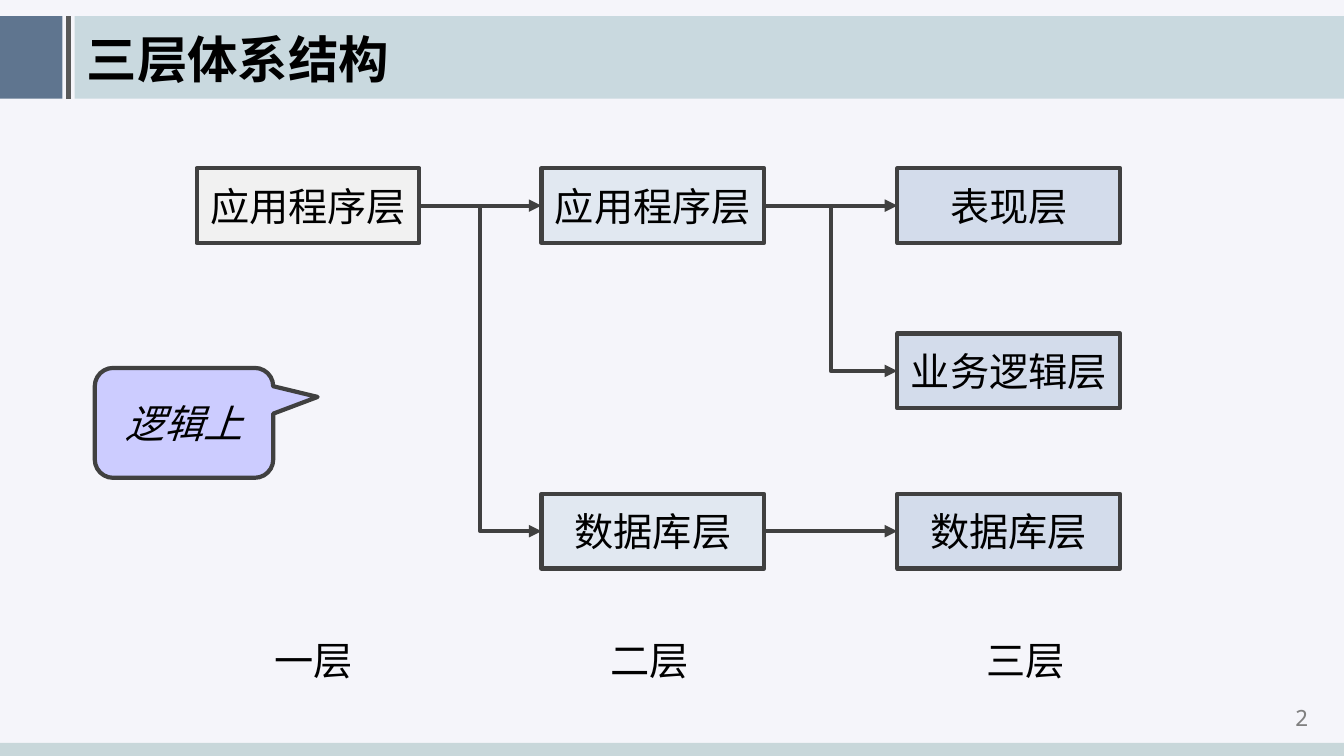
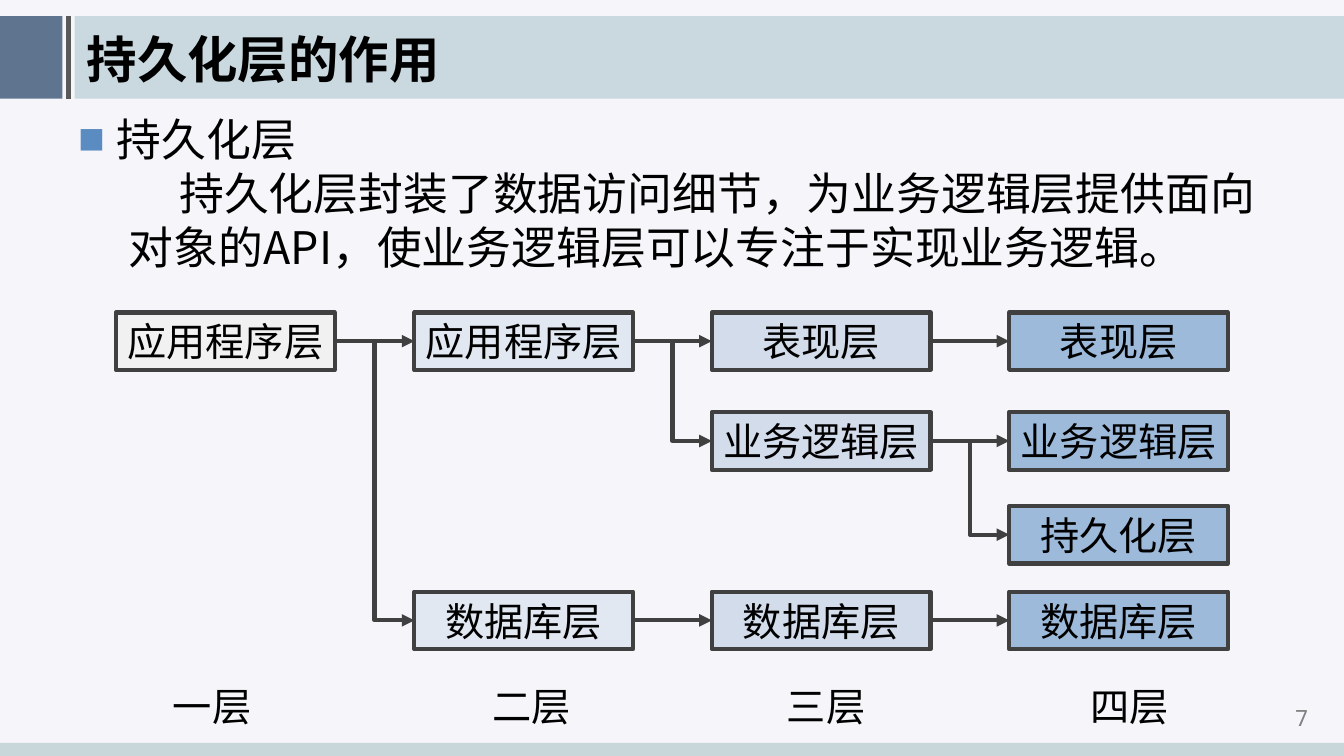
from lxml import etree
from pptx import Presentation
from pptx.dml.color import RGBColor
from pptx.enum.shapes import MSO_CONNECTOR, MSO_SHAPE
from pptx.enum.text import MSO_ANCHOR, MSO_AUTO_SIZE, PP_ALIGN
from pptx.oxml.ns import qn
from pptx.util import Inches, Pt

RECT, CALLOUT = MSO_SHAPE.RECTANGLE, MSO_SHAPE.ROUNDED_RECTANGULAR_CALLOUT
STRAIGHT, ELBOW = MSO_CONNECTOR.STRAIGHT, MSO_CONNECTOR.ELBOW
LEFT, MID, RIGHT = PP_ALIGN.LEFT, PP_ALIGN.CENTER, PP_ALIGN.RIGHT
SANS, MONO = "Noto Sans CJK SC", "Noto Sans Mono"
INK, EDGE = "000000", "404040"
TINTS = ["F1F1F1", "E1E8F1", "D3DCEB", "9DBADA"]
hue = RGBColor.from_string

APP, VIEW, LOGIC, STORE, DATA = "应用程序层", "表现层", "业务逻辑层", "持久化层", "数据库层"

# Each tier maps a row number to the layer in that row.
PAGES = [
    dict(title="三层体系结构", num="2", size=(2.21, 0.74),
         cols=[1.95, 5.37, 8.9], rows=[1.67, 3.31, 4.9],
         tiers=[{0: APP}, {0: APP, 2: DATA}, {0: VIEW, 1: LOGIC, 2: DATA}],
         names={"一层": 3.6, "二层": 6.93, "三层": 10.66}, base=6.26),
    dict(title="持久化层的作用", num="7", size=(2.17, 0.57),
         cols=[1.15, 4.11, 7.06, 10.01], rows=[3.1, 4.09, 5.02, 5.87],
         tiers=[{0: APP}, {0: APP, 3: DATA}, {0: VIEW, 1: LOGIC, 3: DATA},
                {0: VIEW, 1: LOGIC, 2: STORE, 3: DATA}],
         names={"一层": 2.59, "二层": 5.76, "三层": 8.68, "四层": 11.69}, base=6.72),
]


def write(shape, text, size=28, color=INK, face=SANS, bold=False, italic=False,
          align=MID, anchor=MSO_ANCHOR.MIDDLE, wrap=True):
    """Fill the empty first paragraph of a shape, or add one, and return it."""
    frame = shape.text_frame
    frame.word_wrap, frame.auto_size = wrap, MSO_AUTO_SIZE.NONE
    frame.vertical_anchor = anchor
    frame.margin_top = frame.margin_bottom = 0
    para = frame.add_paragraph() if frame.text else frame.paragraphs[0]
    para.alignment = align
    run = para.add_run()
    run.text = text
    font = run.font
    font.size, font.name, font.bold, font.italic = Pt(size), face, bold, italic
    font.color.rgb = hue(color)
    etree.SubElement(run._r.get_or_add_rPr(), qn("a:ea"), typeface=face)
    return para


def block(slide, kind, spot, fill, edge=None, alpha=None):
    """Draw a filled preset shape; alpha is its opacity in percent."""
    shape = slide.shapes.add_shape(kind, *map(Inches, spot))
    shape.shadow.inherit = False
    shape.fill.solid()
    shape.fill.fore_color.rgb = hue(fill)
    if alpha:
        tone = shape.element.spPr.find(".//" + qn("a:srgbClr"))
        etree.SubElement(tone, qn("a:alpha"), val=str(alpha * 1000))
    if edge:
        shape.line.color.rgb = hue(edge)
        shape.line.width = Pt(3)
    else:
        shape.line.fill.background()
    return shape


prs = Presentation()
prs.slide_width, prs.slide_height = Inches(13.33), Inches(7.5)
back = prs.slide_master.background.fill
back.solid()
back.fore_color.rgb = hue("F5F5FA")

layout = prs.slide_layouts[5]
for holder in list(layout.placeholders):
    if holder.placeholder_format.idx:
        layout.shapes.element.remove(holder.element)
slides = [prs.slides.add_slide(layout) for page in PAGES]

# Shared bands: drawn once, then moved to the layout
first = slides[0]
rule = first.shapes.add_connector(
    STRAIGHT, Inches(0.68), Inches(0.16), Inches(0.68), Inches(0.98))
rule.line.color.rgb = hue("595959")
rule.line.width = Pt(3)
etree.SubElement(rule.element.spPr, qn("a:effectLst"))
bands = [
    block(first, RECT, (0, 0.16, 0.62, 0.82), "204062", alpha=70),
    rule,
    block(first, RECT, (0.74, 0.16, 12.59, 0.82), "6699A1", alpha=30),
    block(first, RECT, (0, 7.37, 13.33, 0.13), "C8D7DA"),
]
for band in bands:
    layout.shapes.element.append(band.element)

for slide, page in zip(slides, PAGES):
    title = slide.shapes.title
    title.left, title.top = Inches(0.76), Inches(0.21)
    title.width, title.height = Inches(11.54), Inches(0.73)
    write(title, page["title"], size=36, bold=True, align=LEFT)
    num = slide.shapes.add_textbox(
        Inches(12.49), Inches(6.96), Inches(0.84), Inches(0.31))
    write(num, page["num"], size=16, color="808080", face=MONO)

    tiers = []
    for left, tier, tint in zip(page["cols"], page["tiers"], TINTS):
        boxes = {}
        for row, name in tier.items():
            spot = (left, page["rows"][row], *page["size"])
            boxes[row] = block(slide, RECT, spot, tint, EDGE)
            write(boxes[row], name, wrap=False)
        tiers.append(boxes)

    # A layer comes from the nearest layer at or above its row, one tier back
    for prev, tier in zip(tiers, tiers[1:]):
        for row, box in tier.items():
            root = max(r for r in prev if r <= row)
            link = slide.shapes.add_connector(
                STRAIGHT if root == row else ELBOW, 0, 0, 0, 0)
            link.begin_connect(prev[root], 3)
            link.end_connect(box, 1)
            link.line.color.rgb = hue(EDGE)
            link.line.width = Pt(3)
            props = link.element.spPr
            etree.SubElement(props.find(qn("a:ln")), qn("a:tailEnd"), type="triangle")
            etree.SubElement(props, qn("a:effectLst"))

    for name, right in page["names"].items():
        label = slide.shapes.add_textbox(
            Inches(right - 1.2), Inches(page["base"]), Inches(1.2), Inches(0.57))
        write(label, name, align=RIGHT)

# Callout of the first slide
note = block(first, CALLOUT, (0.94, 3.65, 1.77, 1.09), "CCCCFF", EDGE)
for i, value in enumerate([0.749, -0.236, 0.167]):
    note.adjustments[i] = value
write(note, "逻辑上", italic=True, wrap=False)

# Body text of the second slide
body = slides[1].shapes.add_textbox(
    Inches(0.68), Inches(1.11), Inches(11.97), Inches(1.95))
TEXTS = [
    (STORE, 0.38, -0.38),
    ("持久化层封装了数据访问细节，为业务逻辑层提供面向对象的API，"
     "使业务逻辑层可以专注于实现业务逻辑。", 0.5, 0.5),
]
for text, margin, indent in TEXTS:
    para = write(body, text, size=32, align=LEFT, anchor=MSO_ANCHOR.TOP)
    props = para._p.get_or_add_pPr()
    props.set("marL", str(Inches(margin)))
    props.set("indent", str(Inches(indent)))
    if indent < 0:
        tone = etree.SubElement(props, qn("a:buClr"))
        etree.SubElement(tone, qn("a:srgbClr"), val="5B8CC1")
        etree.SubElement(props, qn("a:buSzPct"), val="60000")
        etree.SubElement(props, qn("a:buFont"), typeface=SANS)
        etree.SubElement(props, qn("a:buChar"), char="■")

prs.save("out.pptx")
